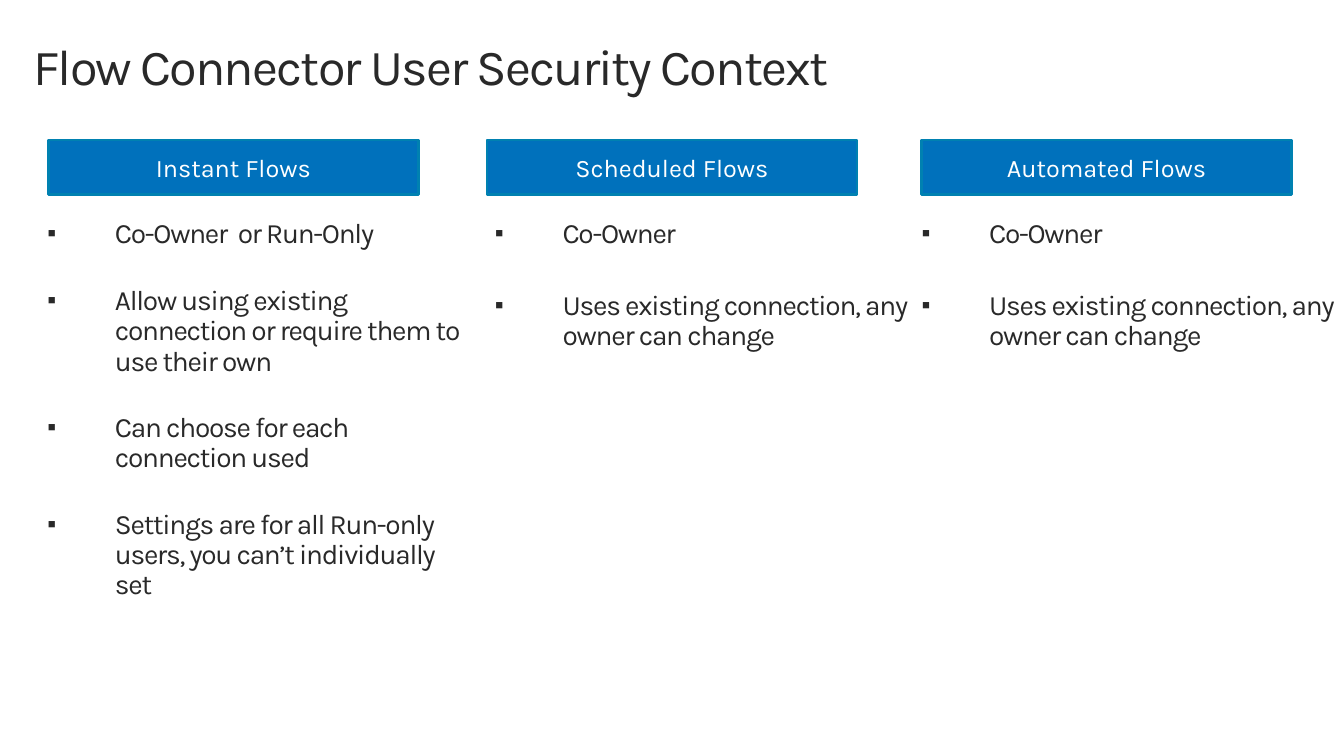
from lxml.etree import SubElement
from pptx import Presentation
from pptx.dml.color import RGBColor
from pptx.enum.shapes import MSO_SHAPE as Shape
from pptx.enum.text import MSO_ANCHOR as Anchor, PP_ALIGN as Align
from pptx.oxml.ns import qn
from pptx.util import Inches, Pt


def color(value):
    return RGBColor.from_string(value)


class FlowPage:
    """Holds the style and the current slide."""
    font_name = "Karla"
    ink = "292929"
    white = "FFFFFF"
    header_fill = "0071BC"
    header_line = "0081B1"
    indent = Inches(0.67)

    def __init__(self, deck):
        self.page = deck.slides.add_slide(deck.slide_layouts[6])

    def add_span(self, para, text, size, ink, tracking=0):
        span = para.add_run()
        span.text = text
        for name, value in {"name": self.font_name, "size": Pt(size)}.items():
            setattr(span.font, name, value)
        span.font.color.rgb = color(ink)
        if tracking:
            span.font._element.set("spc", str(tracking))

    def text_frame(self, left, top, width, height, **settings):
        box = self.page.shapes.add_textbox(
            Inches(left), Inches(top), Inches(width), Inches(height))
        frame = box.text_frame
        layout = {"word_wrap": True, "margin_left": 0, "margin_right": 0,
                  "margin_top": 0, "margin_bottom": 0} | settings
        for name, value in layout.items():
            setattr(frame, name, value)
        return frame

    def title(self, text):
        frame = self.text_frame(0.33, 0.25, 12.67, 0.88,
                                margin_top=Inches(0.05), margin_bottom=Inches(0.05),
                                vertical_anchor=Anchor.MIDDLE)
        para = frame.paragraphs[0]
        para.line_spacing = 0.9
        self.add_span(para, text, 36, self.ink, -130)

    def header(self, text, left):
        bar = self.page.shapes.add_shape(
            Shape.RECTANGLE, Inches(left), Inches(1.39), Inches(3.67), Inches(0.54))
        bar.shadow.inherit = False
        bar.fill.solid()
        bar.fill.fore_color.rgb = color(self.header_fill)
        bar.line.color.rgb = color(self.header_line)
        bar.line.width = Pt(2)
        bar.text_frame.vertical_anchor = Anchor.MIDDLE
        para = bar.text_frame.paragraphs[0]
        para.alignment = Align.CENTER
        self.add_span(para, text, 18, self.white)

    def add_bullet(self, para):
        props = para._p.get_or_add_pPr()
        props.set("marL", str(self.indent))
        props.set("indent", str(-self.indent))
        tint = SubElement(props, qn("a:buClr"))
        SubElement(tint, qn("a:srgbClr"), val=self.ink)
        SubElement(props, qn("a:buSzPct"), val="90000")
        SubElement(props, qn("a:buFont"), typeface="Arial")
        SubElement(props, qn("a:buChar"), char="▪")

    def bullets(self, items, left, height, gap):
        frame = self.text_frame(left, 2.18, 4.2, height)
        for index, item in enumerate(items):
            para = frame.add_paragraph() if index else frame.paragraphs[0]
            self.add_bullet(para)
            para.line_spacing = 0.9
            if index:
                para.space_before = Pt(gap)
            self.add_span(para, item, 20, self.ink, -90)


def main():
    deck = Presentation()
    deck.slide_width, deck.slide_height = Inches(13.33), Inches(7.5)
    flows = FlowPage(deck)
    flows.title("Flow Connector User Security Context")

    # Columns: heading, header left, list left, list height, gap, items
    instant = ["Co-Owner  or Run-Only",
               "Allow using existing connection or require them to use their own",
               "Can choose for each connection used",
               "Settings are for all Run-only users, you can’t individually set"]
    owner_only = ["Co-Owner", "Uses existing connection, any owner can change"]
    columns = [
        ("Instant Flows", 0.48, 0.47, 3.53, 26, instant),
        ("Scheduled Flows", 4.83, 4.91, 1.35, 29.5, owner_only),
        ("Automated Flows", 9.14, 9.14, 1.35, 29.5, owner_only),
    ]
    for heading, header_left, list_left, height, gap, items in columns:
        flows.header(heading, header_left)
        flows.bullets(items, list_left, height, gap)

    deck.save("out.pptx")


if __name__ == "__main__":
    main()
